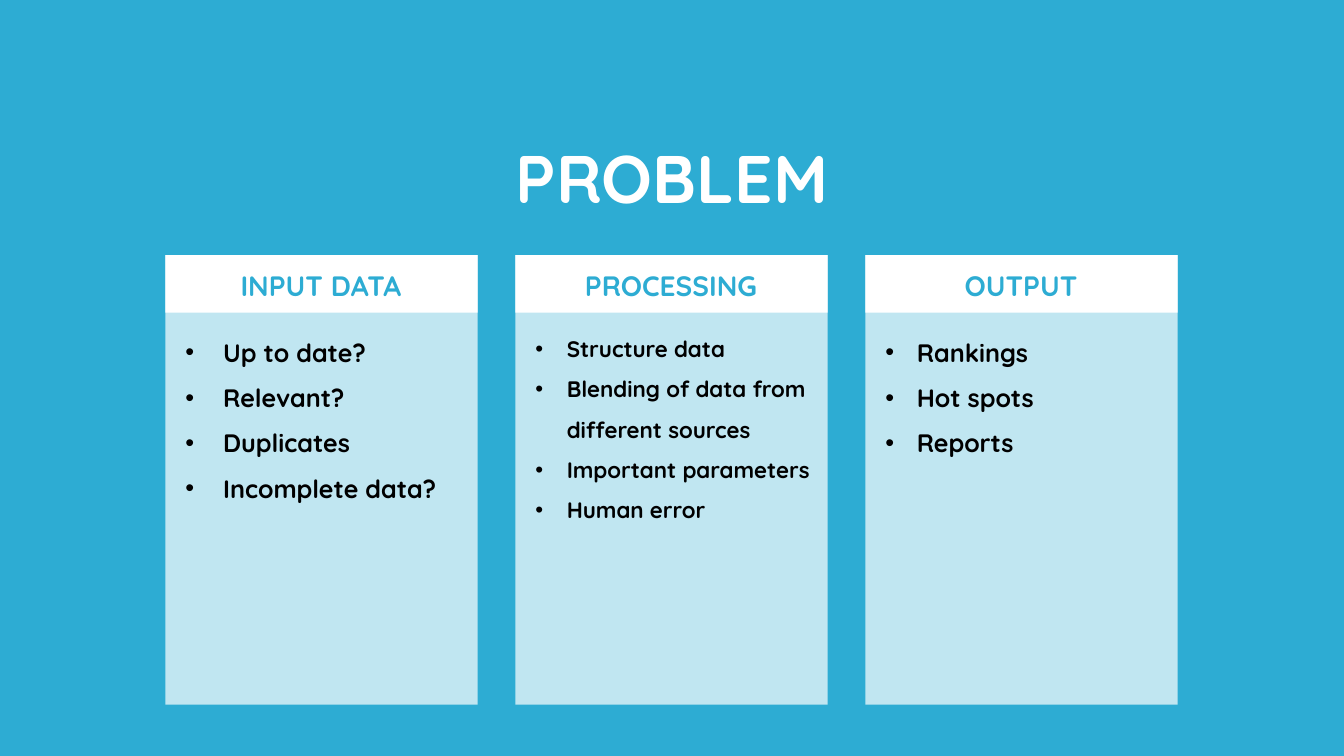
from dataclasses import dataclass
from typing import Any

from lxml.etree import SubElement
from pptx import Presentation
from pptx.dml.color import RGBColor
from pptx.enum.shapes import MSO_SHAPE
from pptx.enum.text import MSO_ANCHOR, MSO_AUTO_SIZE, PP_ALIGN
from pptx.oxml.ns import qn
from pptx.util import Cm, Pt

BLUE = RGBColor(0x2D, 0xAC, 0xD3)
WHITE = RGBColor(0xFF, 0xFF, 0xFF)
BLACK = RGBColor(0x00, 0x00, 0x00)

# Card grid, in centimetres
LEFT, TOP, PITCH = 4.17, 6.43, 8.82
WIDTH, HEIGHT, BAR = 7.87, 11.33, 1.45

FRAME = {"word_wrap": True, "auto_size": MSO_AUTO_SIZE.NONE,
         "vertical_anchor": MSO_ANCHOR.TOP}
CENTER = {"alignment": PP_ALIGN.CENTER, "space_before": Pt(0)}
LIST = {"alignment": PP_ALIGN.LEFT, "space_before": Pt(0), "line_spacing": 1.5}


@dataclass
class Card:
    head: str
    items: list[str]
    size: int
    indent: float
    width: float


CARDS = [
    Card("INPUT DATA", ["Up to date?", "Relevant?", "Duplicates",
                        "Incomplete data?"], 18, 0.95, 7.34),
    Card("PROCESSING", ["Structure data", "Blending of data from different sources",
                        "Important parameters", "Human error"], 16, 0.79, 7.62),
    Card("OUTPUT", ["Rankings", "Hot spots", "Reports"], 18, 0.79, 7.34),
]


def apply(target: Any, values: dict[str, Any]) -> None:
    for name, value in values.items():
        setattr(target, name, value)


def place(shape: Any, x: float, y: float, w: float, h: float) -> None:
    apply(shape, {"left": Cm(x), "top": Cm(y), "width": Cm(w), "height": Cm(h)})


def bullet(para: Any, indent: float) -> None:
    props = para._p.get_or_add_pPr()
    props.set("marL", str(Cm(indent)))
    props.set("indent", str(-Cm(indent)))
    color = SubElement(props, qn("a:buClr"))
    SubElement(color, qn("a:srgbClr"), val=str(BLACK))
    SubElement(props, qn("a:buFont"), typeface="Arial")
    SubElement(props, qn("a:buChar"), char="•")


def write(shape: Any, lines: list[str], size: int, color: RGBColor,
          layout: dict[str, Any], indent: float = 0) -> None:
    frame = shape.text_frame
    apply(frame, FRAME)
    for i, line in enumerate(lines):
        para = frame.add_paragraph() if i else frame.paragraphs[0]
        if indent:
            bullet(para, indent)
        apply(para, layout)
        run = para.add_run()
        run.text = line
        apply(run.font, {"name": "Quicksand", "size": Pt(size), "bold": True})
        run.font.color.rgb = color


def panel(slide: Any, x: float, h: float, alpha: int = 100) -> None:
    shape = slide.shapes.add_shape(MSO_SHAPE.RECTANGLE, Cm(x), Cm(TOP), Cm(WIDTH), Cm(h))
    shape.shadow.inherit = False
    shape.line.fill.background()
    shape.fill.solid()
    shape.fill.fore_color.rgb = WHITE
    if alpha < 100:
        tint = shape.element.spPr.find(f"{qn('a:solidFill')}/{qn('a:srgbClr')}")
        SubElement(tint, qn("a:alpha"), val=str(alpha * 1000))


def draw(slide: Any, card: Card, body: Any, x: float) -> None:
    panel(slide, x, HEIGHT, 70)
    panel(slide, x, BAR)
    head = slide.shapes.add_textbox(Cm(x - 0.04), Cm(6.65), Cm(7.92), Cm(1.12))
    write(head, [card.head], 20, BLUE, CENTER)
    # The list goes in front of its panel
    body.element.getparent().append(body.element)
    place(body, x + 0.25, 7.98, card.width, 6.4)
    write(body, card.items, card.size, BLACK, LIST, card.indent)


def main() -> None:
    deck = Presentation()
    apply(deck, {"slide_width": Cm(33.87), "slide_height": Cm(19.05)})
    slide = deck.slides.add_slide(deck.slide_layouts.get_by_name("Comparison"))
    slide.background.fill.solid()
    slide.background.fill.fore_color.rgb = BLUE

    # Title
    title, *bodies = slide.placeholders
    place(title, 0, 3.3, 33.87, 2.11)
    write(title, ["PROBLEM"], 48, WHITE, CENTER)

    # Cards
    for i, (card, body) in enumerate(zip(CARDS, bodies)):
        draw(slide, card, body, LEFT + i * PITCH)

    # Unused placeholders
    for body in bodies[len(CARDS):]:
        body.element.getparent().remove(body.element)

    deck.save("out.pptx")


if __name__ == "__main__":
    main()
